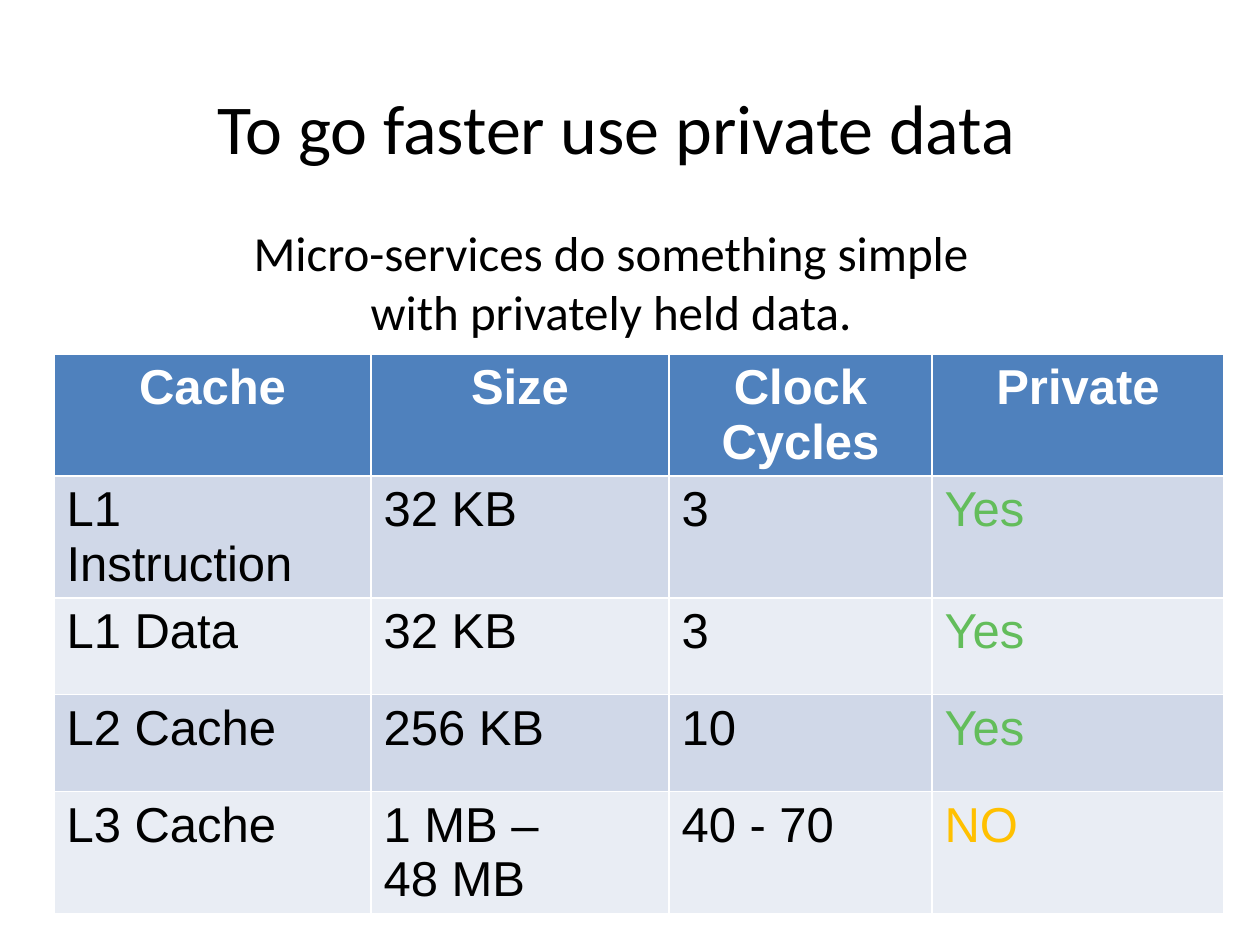
from pptx import Presentation
from pptx import util as u
from pptx.dml.color import RGBColor
from pptx.enum import text

PX_PER_INCH = 126
CENTER, LEFT = text.PP_ALIGN.CENTER, text.PP_ALIGN.LEFT


def px(length):
    return u.Emu(round(length * u.Inches(1) / PX_PER_INCH))


def colour(value):
    return RGBColor.from_string(value)


class SlideBuilder:
    black, white = "000000", "FFFFFF"
    yes, no = "63BD5B", "FFC000"
    header, bands = "4F81BD", ("D0D8E8", "E9EDF4")
    frame = dict(margin_left=px(12), margin_right=px(12), margin_top=px(9),
                 margin_bottom=px(6), word_wrap=True,
                 auto_size=text.MSO_AUTO_SIZE.NONE,
                 vertical_anchor=text.MSO_ANCHOR.TOP)

    def __init__(self, deck):
        self.page = deck.slides.add_slide(deck.slide_layouts[5])

    def set_text(self, frame, words, align, fill, **font):
        """Fill a text frame with one paragraph; \\v marks a line break."""
        frame.text = words
        para = frame.paragraphs[0]
        para.alignment = align
        for span in para.runs:
            for name, value in font.items():
                setattr(span.font, name, value)
            span.font.color.rgb = colour(fill)

    def format_frame(self, frame):
        for name, value in self.frame.items():
            setattr(frame, name, value)

    def title(self, words, left, top, width, height):
        box = self.page.shapes.title
        box.left, box.top, box.width, box.height = map(px, (left, top, width, height))
        self.format_frame(box.text_frame)
        self.set_text(box.text_frame, words, CENTER, self.black, name="Calibri", size=u.Pt(40))

    def subtitle(self, words, left, top, width, height):
        box = self.page.shapes.add_textbox(*map(px, (left, top, width, height)))
        self.format_frame(box.text_frame)
        self.set_text(box.text_frame, words, CENTER, self.black, name="Calibri", size=u.Pt(28))
        box.text_frame.paragraphs[0].space_after = u.Pt(6)

    def table(self, rows, left, top, widths, row_height):
        table = self.page.shapes.add_table(
            len(rows), len(widths), px(left), px(top),
            px(sum(widths)), px(row_height * len(rows))).table
        for column, width in zip(table.columns, widths):
            column.width = px(width)
        answers = {"Yes": self.yes, "NO": self.no}
        for r, row in enumerate(rows):
            is_header = r == 0
            for c, words in enumerate(row):
                cell = table.cell(r, c)
                cell.fill.solid()
                cell.fill.fore_color.rgb = colour(
                    self.header if is_header else self.bands[(r - 1) % 2])
                ink = self.white if is_header else answers.get(words, self.black)
                self.set_text(cell.text_frame, words, CENTER if is_header else LEFT, ink,
                              name="Arial", size=u.Pt(28), bold=is_header)


def main():
    deck = Presentation()
    deck.slide_width, deck.slide_height = u.Inches(10), u.Inches(7.5)
    slide = SlideBuilder(deck)
    slide.title("To go faster use private data", 35, 76, 1163, 84)
    slide.subtitle("Micro-services do something simple \vwith privately held data. ",
                   35, 214, 1163, 139)
    slide.table([
        ("Cache", "Size", "Clock Cycles", "Private"),
        ("L1 Instruction", "32 KB", "3", "Yes"),
        ("L1 Data", "32 KB", "3", "Yes"),
        ("L2 Cache", "256 KB", "10", "Yes"),
        ("L3 Cache", "1 MB – \v48 MB", "40 - 70", "NO"),
    ], 54, 354, (317, 298, 263, 292), 97)
    deck.save("out.pptx")


if __name__ == "__main__":
    main()
